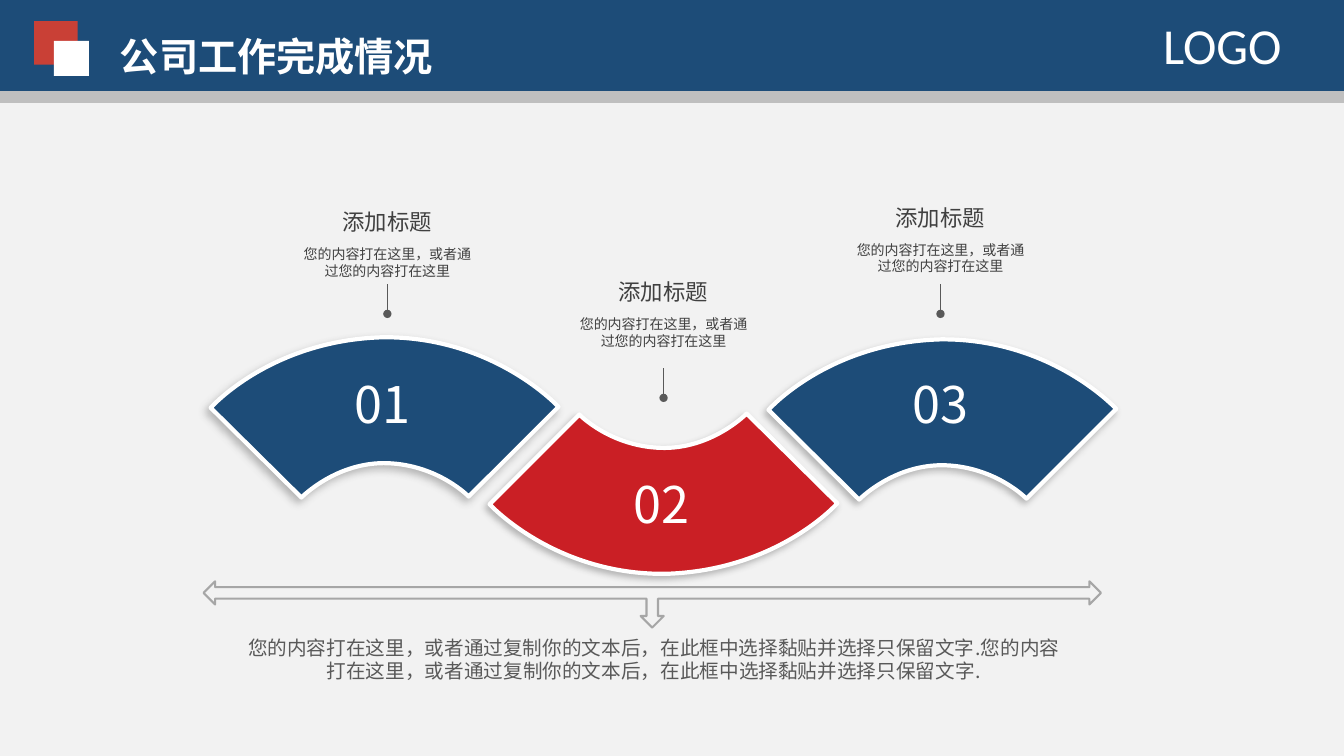
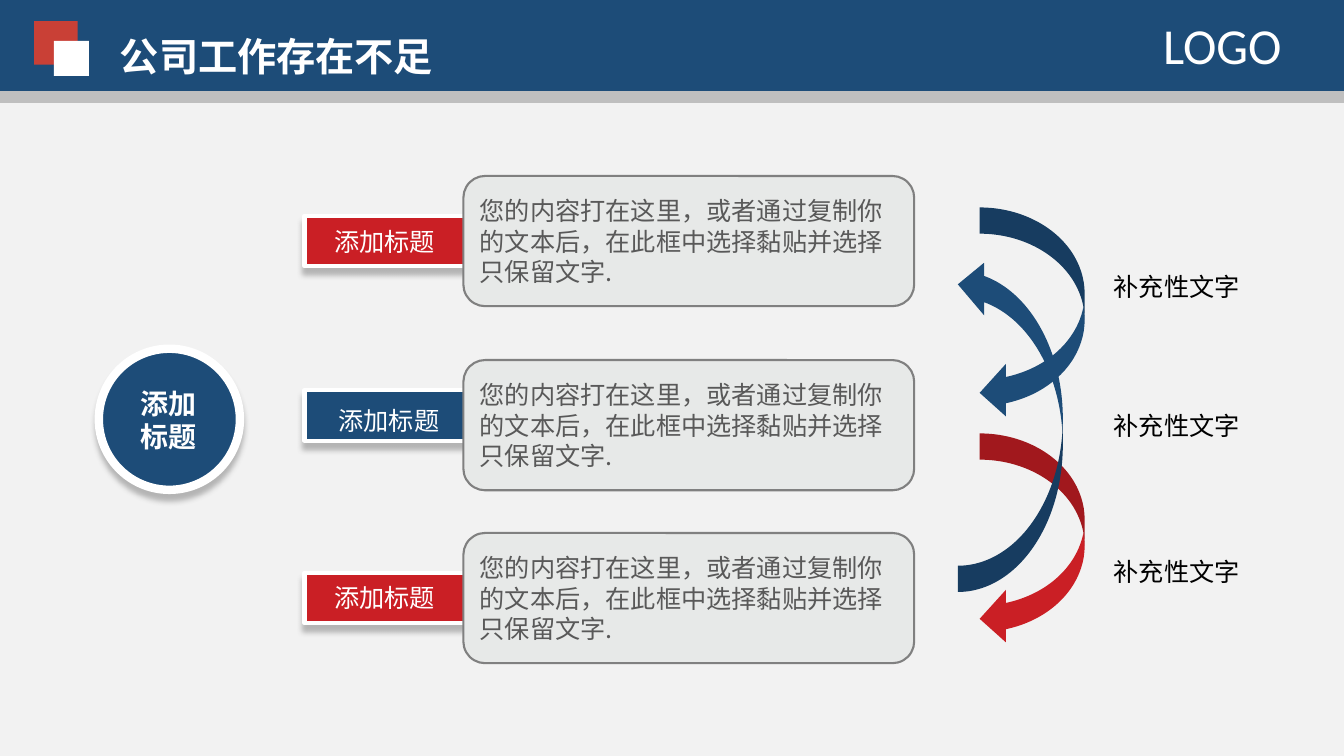
from lxml import etree
from pptx import Presentation
from pptx.dml.color import RGBColor
from pptx.enum.shapes import MSO_CONNECTOR, MSO_SHAPE
from pptx.enum.text import MSO_ANCHOR, MSO_AUTO_SIZE, PP_ALIGN
from pptx.oxml.ns import qn
from pptx.util import Pt

RECTANGLE = MSO_SHAPE.RECTANGLE
ROUNDED = MSO_SHAPE.ROUNDED_RECTANGLE
OVAL = MSO_SHAPE.OVAL
CURVED_ARROW = MSO_SHAPE.CURVED_LEFT_ARROW
THREE_WAY_ARROW = MSO_SHAPE.LEFT_RIGHT_UP_ARROW
STRAIGHT = MSO_CONNECTOR.STRAIGHT
LEFT, CENTER = PP_ALIGN.LEFT, PP_ALIGN.CENTER
TOP, MIDDLE = MSO_ANCHOR.TOP, MSO_ANCHOR.MIDDLE
NO_AUTOFIT = MSO_AUTO_SIZE.NONE

BACKGROUND = RGBColor(0xF2, 0xF2, 0xF2)
BLUE = RGBColor(0x1D, 0x4C, 0x78)
RED = RGBColor(0xCA, 0x1F, 0x25)
ACCENT = RGBColor(0xC9, 0x40, 0x36)
WHITE = RGBColor(0xFF, 0xFF, 0xFF)
BLACK = RGBColor(0, 0, 0)
BAND_GRAY = RGBColor(0xBF, 0xBF, 0xBF)
ARROW_GRAY = RGBColor(0xA6, 0xA6, 0xA6)
CARD_FILL = RGBColor(0xE7, 0xE9, 0xE8)
CARD_LINE = RGBColor(0x80, 0x80, 0x80)
DARK_GRAY = RGBColor(0x40, 0x40, 0x40)
BODY_GRAY = RGBColor(0x59, 0x59, 0x59)

FONT = "Noto Sans CJK SC"
LOGO_FONT = "Calibri"
SLIDE_WIDTH, SLIDE_HEIGHT = 960, 540

FAN_START = (0, 0)
FAN_SEGMENTS = [
    [(0, 0), (42.5, -48.2), (123.1, -50.4)],
    [(202.3, -51.1), (248.4, -0.7), (248.4, -0.7)],
    [(184.3, 63.4)],
    [(184.3, 63.4), (162.7, 41), (126.7, 39.6)],
    [(90, 38.2), (64.8, 64.1), (64.8, 64.1)],
]

HEADING = "添加标题"
DESCRIPTION = "您的内容打在这里，或者通\n过您的内容打在这里"
SENTENCE = "您的内容打在这里，或者通过复制你的文本后，在此框中选择黏贴并选择只保留文字."
SIDE_NOTE = "补充性文字"


def points(*values):
    return [Pt(value) for value in values]


def set_text(shape, text, size, color, bold=False, align=LEFT, anchor=TOP,
             wrap=False, font_name=FONT):
    frame = shape.text_frame
    frame.text = text
    frame.word_wrap = wrap
    frame.auto_size = NO_AUTOFIT
    frame.vertical_anchor = anchor
    for paragraph in frame.paragraphs:
        paragraph.alignment = align
        for run in paragraph.runs:
            font = run.font
            font.size, font.bold, font.name = Pt(size), bold, font_name
            font.color.rgb = color
            latin = run._r.rPr.find(qn("a:latin"))
            latin.addnext(etree.Element(qn("a:ea"), typeface=font_name))


def add_text(parent, box, text, size, color, **style):
    shape = parent.shapes.add_textbox(*points(*box))
    set_text(shape, text, size, color, **style)


def style_shape(shape, fill=None, line=None, line_width=1):
    shape.shadow.inherit = False
    if fill is None:
        shape.fill.background()
    else:
        shape.fill.solid()
        shape.fill.fore_color.rgb = fill
    if line is None:
        shape.line.fill.background()
    else:
        shape.line.color.rgb = line
        shape.line.width = Pt(line_width)


def add_shape(parent, kind, box, fill=None, line=None, line_width=1, flip=False):
    shape = parent.shapes.add_shape(kind, *points(*box))
    style_shape(shape, fill, line, line_width)
    if flip:
        shape.element.spPr.find(qn("a:xfrm")).set("flipV", "1")
    return shape


def add_shadow(shape, blur, distance, direction):
    effects = shape.element.spPr.find(qn("a:effectLst"))
    shadow = etree.SubElement(
        effects, qn("a:outerShdw"), blurRad=str(Pt(blur)), dist=str(Pt(distance)),
        dir=str(direction * 60000), algn="ctr", rotWithShape="0")
    color = etree.SubElement(shadow, qn("a:srgbClr"), val=str(BODY_GRAY))
    etree.SubElement(color, qn("a:alpha"), val="40000")


def add_fan(slide, left, top, fill, direction=1, blur=5, distance=3):
    def place(point):
        return points(left + direction * point[0], top + direction * point[1])

    builder = slide.shapes.build_freeform(*place(FAN_START))
    builder.add_line_segments([place(segment[-1]) for segment in FAN_SEGMENTS])
    fan = builder.convert_to_shape()
    outline = fan.element.spPr.find(".//" + qn("a:path"))
    for line, segment in zip(outline.findall(qn("a:lnTo")), FAN_SEGMENTS):
        if len(segment) == 3:
            curve = etree.Element(qn("a:cubicBezTo"))
            for x, y in map(place, segment):
                etree.SubElement(curve, qn("a:pt"), x=str(x - fan.left), y=str(y - fan.top))
            outline.replace(line, curve)
    etree.SubElement(outline, qn("a:close"))
    style_shape(fan, fill, WHITE, 3)
    add_shadow(fan, blur, distance, 135)


def add_pin(slide, x, top, length=21.2):
    pin = slide.shapes.add_connector(STRAIGHT, *points(x, top, x, top + length))
    pin.line.color.rgb = BODY_GRAY
    pin.line.width = Pt(0.5)
    etree.SubElement(pin.line._ln, qn("a:tailEnd"), type="oval")
    etree.SubElement(pin.element.spPr, qn("a:effectLst"))


def add_callout(slide, x, top, pin_top):
    add_text(slide, (x - 39.2, top, 78.5, 26.6), HEADING, 16, DARK_GRAY)
    add_text(slide, (x - 67.3, top + 26.6, 134.6, 31.7), DESCRIPTION, 10, DARK_GRAY,
             align=CENTER)
    add_pin(slide, x, pin_top)


def add_badge(slide):
    badge = slide.shapes.add_group_shape()
    circle = add_shape(badge, OVAL, (70.6, 249.1, 100.8, 100.8), BLUE, WHITE, 6)
    add_shadow(circle, 4, 5, 90)
    add_text(badge, (93.6, 272.2, 54.7, 55.4), "添加\n标题", 20, WHITE, bold=True)


def add_header(slide, text):
    for box, color in (((0, 2.9, SLIDE_WIDTH, 70.6), BAND_GRAY),
                       ((0, -5.6, SLIDE_WIDTH, 70.6), BLUE),
                       ((24.5, 15.2, 31, 31), ACCENT),
                       ((38.5, 29.3, 25, 25), WHITE)):
        add_shape(slide, RECTANGLE, box, color)
    title = slide.shapes.title
    title.left, title.top, title.width, title.height = points(78.5, 19.4, 238.3, 41.2)
    set_text(title, text, 28, WHITE, bold=True)
    slide.shapes.element.append(title.element)
    add_text(slide, (823.7, 6.8, 104.4, 51.1), "LOGO", 36, WHITE, font_name=LOGO_FONT)


def build_completion_slide(slide):
    add_fan(slide, 150.5, 291.3, BLUE, blur=6, distance=4)
    add_fan(slide, 548.9, 292.8, BLUE)
    add_fan(slide, 598.1, 359.5, RED, direction=-1)
    add_header(slide, "公司工作完成情况")
    for x, top, pin_top in ((276.7, 145.1, 203), (474, 195.1, 263), (671.8, 142.1, 203)):
        add_callout(slide, x, top, pin_top)
    add_shape(slide, THREE_WAY_ARROW, (145.4, 415.3, 641, 33), line=ARROW_GRAY,
              line_width=1.5, flip=True)
    add_text(slide, (164.6, 450.5, 604.8, 58.3), SENTENCE * 2, 14, BODY_GRAY,
             align=CENTER, wrap=True)
    for index, top in enumerate((262.8, 334.4, 262.8)):
        add_text(slide, (246.2 + index * 199.4, top, 57, 51), f"0{index + 1}", 36, WHITE)


def build_shortcomings_slide(slide):
    add_header(slide, "公司工作存在不足")
    add_badge(slide)
    for top, fill in ((154.2, RED), (278.8, BLUE), (409.2, RED)):
        tag = add_shape(slide, RECTANGLE, (217.5, top, 121, 36), fill, WHITE, 3)
        add_shadow(tag, 4, 5, 90)
    for top in (125.7, 257.2, 380.7):
        card = add_shape(slide, ROUNDED, (331, top, 322, 93), CARD_FILL, CARD_LINE, 1.5)
        set_text(card, SENTENCE, 18, BODY_GRAY, anchor=MIDDLE, wrap=True)
    add_shape(slide, CURVED_ARROW, (699.8, 148.2, 75, 151.2), BLUE)
    add_shape(slide, CURVED_ARROW, (699.8, 309.6, 75, 151.2), RED)
    add_shape(slide, CURVED_ARROW, (684.2, 184.4, 75, 238.5), BLUE, flip=True)
    for top in (190, 289.5, 393.8):
        add_text(slide, (788.4, top, 104.4, 29), SIDE_NOTE, 18, BLACK)
    for left, top in ((231.7, 158.2), (234.7, 285.8), (231.7, 412.7)):
        add_text(slide, (left, top, 86.4, 29), HEADING, 18, WHITE)


def main():
    presentation = Presentation()
    presentation.slide_width, presentation.slide_height = points(SLIDE_WIDTH, SLIDE_HEIGHT)
    background = presentation.slide_master.background.fill
    background.solid()
    background.fore_color.rgb = BACKGROUND
    layout = presentation.slide_layouts[5]
    for build_slide in (build_completion_slide, build_shortcomings_slide):
        build_slide(presentation.slides.add_slide(layout))
    presentation.save("out.pptx")


if __name__ == "__main__":
    main()
